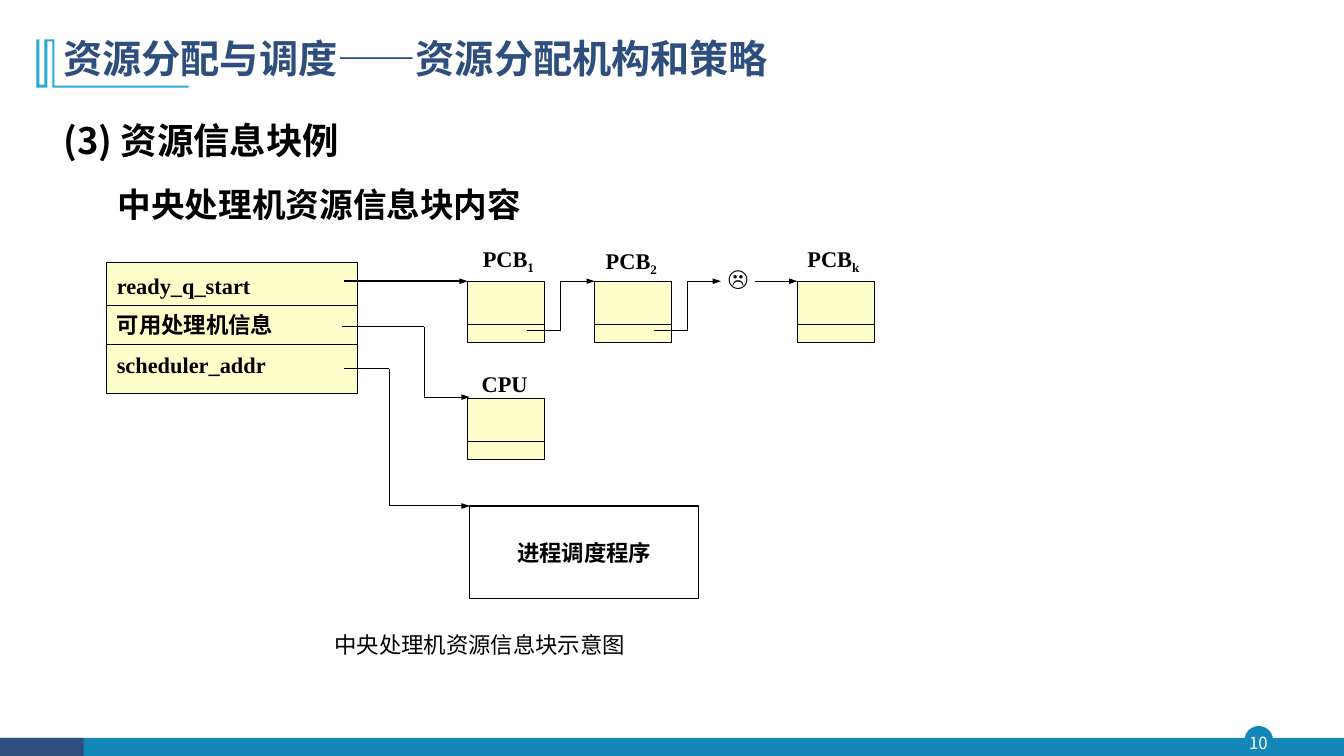
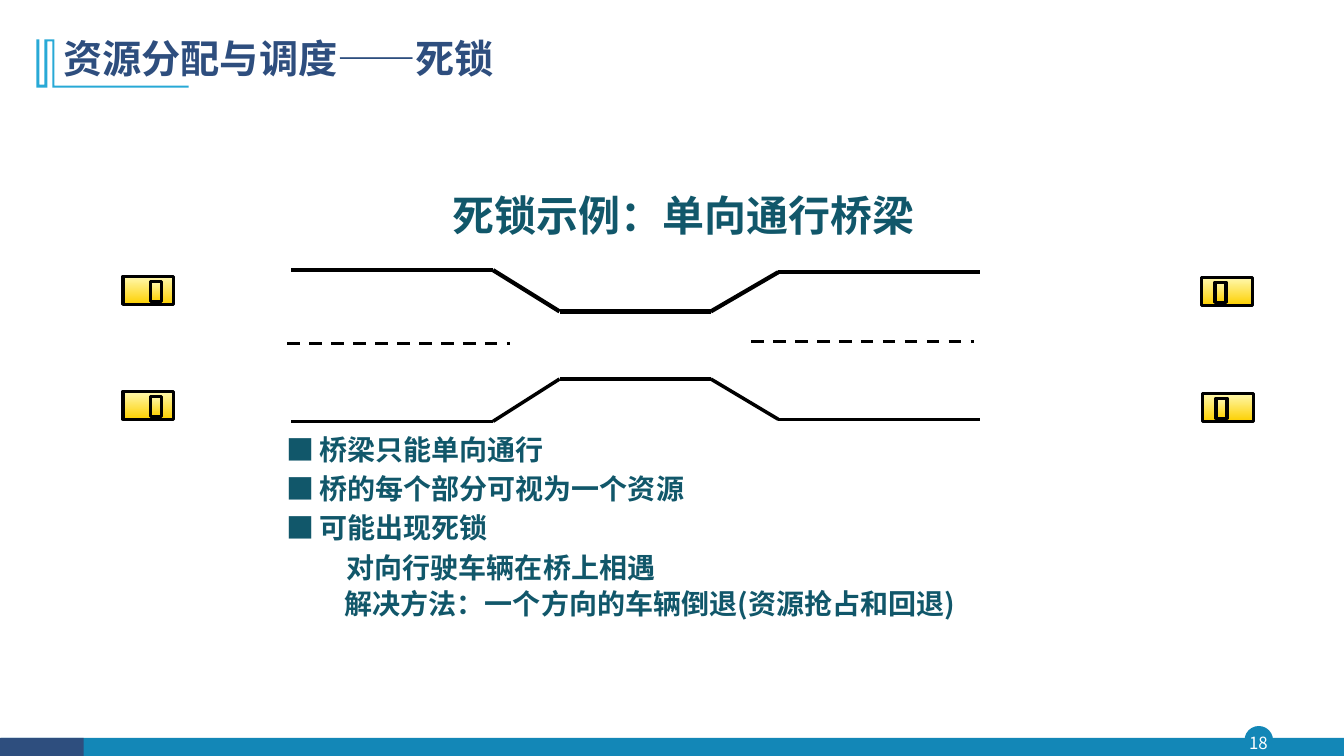
from dataclasses import dataclass
from itertools import pairwise

from pptx import Presentation
from pptx.dml.color import RGBColor as Color
from pptx.enum.dml import MSO_LINE_DASH_STYLE as Dash
from pptx.enum.shapes import MSO_CONNECTOR as Connector, MSO_SHAPE as Shape
from pptx.enum.text import MSO_ANCHOR as Anchor, PP_ALIGN as Align
from pptx.oxml.ns import qn
from pptx.oxml.xmlchemy import OxmlElement as new_element
from pptx.util import Inches, Pt


@dataclass(frozen=True)
class Theme:
    navy: str = "2E4E7E"
    blue: str = "1387B7"
    cyan: str = "28A9D6"
    teal: str = "11576A"
    black: str = "000000"
    white: str = "FFFFFF"
    cream: str = "FFFFCC"
    car_top: str = "FFF9B1"
    car_bottom: str = "FDD000"
    sans: str = "Noto Sans CJK SC"
    bullet_font: str = "Noto Sans CJK JP"
    serif: str = "Times New Roman"
    title: int = 28
    example: int = 30
    heading: int = 26
    subheading: int = 24
    body: int = 20
    label: int = 16
    number: int = 12


THEME = Theme()


# Text
def style_para(para, size, color=THEME.black, font=THEME.sans, bold=True,
               align=Align.LEFT, spacing=1.0, before=0):
    para.alignment = align
    para.line_spacing = spacing
    para.space_before = Pt(before)
    para.font.size = Pt(size)
    para.font.bold = bold
    para.font.name = font
    para.font.color.rgb = Color.from_string(color)
    # Chinese text always takes a sans face
    for latin in para._p.iter(qn("a:latin")):
        east_asian = new_element("a:ea")
        east_asian.set("typeface", THEME.sans if font == THEME.serif else font)
        latin.addnext(east_asian)


def add_text(page, at, text, size, **style):
    box = page.shapes.add_textbox(*map(Inches, at))
    frame = box.text_frame
    frame.word_wrap = True
    para = frame.paragraphs[0]
    para.add_run().text = text
    style_para(para, size, **style)
    return frame


# Shapes and lines
def paint(shape, fill=None, line=None, width=0.75):
    shape.shadow.inherit = False
    if fill:
        shape.fill.solid()
        shape.fill.fore_color.rgb = Color.from_string(fill)
    else:
        shape.fill.background()
    if line:
        shape.line.color.rgb = Color.from_string(line)
        shape.line.width = Pt(width)
    else:
        shape.line.fill.background()


def add_box(page, at, fill=None, line=None, width=0.75, kind=Shape.RECTANGLE):
    box = page.shapes.add_shape(kind, *map(Inches, at))
    paint(box, fill, line, width)
    return box


def add_line(page, start, end, width=0.75, arrow=False, dash=None):
    line = page.shapes.add_connector(
        Connector.STRAIGHT, *map(Inches, (*start, *end)))
    line.line.color.rgb = Color.from_string(THEME.black)
    line.line.width = Pt(width)
    if dash:
        line.line.dash_style = dash
    if arrow:
        head = new_element("a:tailEnd")
        head.set("type", "triangle")
        head.set("w", "sm")
        line.line._get_or_add_ln().append(head)
    line._element.spPr.append(new_element("a:effectLst"))


def add_route(page, points, width=0.75, arrow=False):
    legs = list(pairwise(points))
    for index, (start, end) in enumerate(legs, 1):
        add_line(page, start, end, width, arrow and index == len(legs))


# Frame shared by all slides
def add_page(deck, title, number):
    page = deck.slides.add_slide(deck.slide_layouts[6])
    add_box(page, (12.35, 7.21, 0.27, 0.27), THEME.blue, THEME.blue, 1,
            Shape.OVAL)
    add_box(page, (0.01, 7.32, 13.32, 0.19), THEME.blue)
    add_box(page, (0, 7.32, 0.83, 0.19), THEME.navy)
    frame = add_text(page, (12.32, 7.21, 0.32, 0.31), str(number),
                     THEME.number, color=THEME.white, bold=False,
                     align=Align.CENTER)
    frame.vertical_anchor = Anchor.MIDDLE
    frame.margin_left = frame.margin_right = 0
    frame.margin_top = frame.margin_bottom = 0

    # Title ornament, in hundredths of an inch
    outline = [(54, 85), (187, 85), (187, 87), (52, 87), (52, 41), (47, 41),
               (47, 87), (36, 87), (36, 39), (39, 39), (39, 84), (44, 84),
               (44, 39)]
    builder = page.shapes.build_freeform(54, 39, scale=Inches(0.01))
    builder.add_line_segments(outline, close=True)
    paint(builder.convert_to_shape(), THEME.cyan)

    add_text(page, (0.53, 0.34, 10.49, 0.56), title, THEME.title,
             color=THEME.navy, spacing=0.9)
    return page


# Parts of the resource block diagram
def add_control_block(page, left, top, label, label_at, subscript=None):
    width, height, divider = 0.76, 0.61, top + 0.43
    add_box(page, (left, top, width, height), THEME.cream, THEME.black)
    add_line(page, (left, divider), (left + width, divider))
    frame = add_text(page, (*label_at, 0.8, 0.37), label, THEME.label,
                     font=THEME.serif)
    if subscript:
        run = frame.paragraphs[0].add_run()
        run.text = subscript
        run._r.get_or_add_rPr().set("baseline", "-25000")


def add_info_block(page, rows):
    left, top, width = 1.06, 2.6, 2.49
    box = add_box(page, (left, top, width, 1.3), THEME.cream, THEME.black)
    frame = box.text_frame
    frame.vertical_anchor = Anchor.TOP
    for index, row in enumerate(rows):
        para = frame.add_paragraph() if index else frame.paragraphs[0]
        para.add_run().text = row
        style_para(para, THEME.label, font=THEME.serif, align=Align.JUSTIFY,
                   spacing=1.2, before=5)
    for y in (3.03, 3.42):
        add_line(page, (left, y), (left + width, y))


def build_resource_slide(deck):
    page = add_page(deck, "资源分配与调度——资源分配机构和策略", 10)
    frame = add_text(page, (0.53, 0.91, 9.07, 1.4), "(3) 资源信息块例",
                     THEME.heading, align=Align.JUSTIFY, spacing=1.5,
                     before=10)
    para = frame.add_paragraph()
    para.add_run().text = "中央处理机资源信息块内容"
    style_para(para, THEME.subheading, font=THEME.serif, spacing=1.3, before=7)
    para._p.get_or_add_pPr().set("marL", str(Inches(0.54)))

    # Blocks
    add_info_block(page, ["ready_q_start", "可用处理机信息", "scheduler_addr"])
    queue_top = 2.79
    for left, label_at, subscript in [(4.64, (4.69, 2.38), "1"),
                                      (5.9, (5.91, 2.4), "2"),
                                      (7.91, (7.91, 2.38), "k")]:
        add_control_block(page, left, queue_top, "PCB", label_at, subscript)
    add_control_block(page, 4.64, 3.95, "CPU", (4.68, 3.62))
    add_text(page, (7.12, 2.57, 0.53, 0.24), "☹", THEME.label)

    scheduler = add_box(page, (4.66, 5.02, 2.27, 0.92), None, THEME.black, 1)
    para = scheduler.text_frame.paragraphs[0]
    para.add_run().text = "进程调度程序"
    style_para(para, THEME.label, font=THEME.serif, align=Align.CENTER)

    # Links along the queue
    add_line(page, (3.41, queue_top), (4.64, queue_top), 1.5, arrow=True)
    for start, bend, end in [(5.23, 5.56, 5.9), (6.49, 6.82, 7.15)]:
        add_route(page, [(start, 3.28), (bend, 3.28), (bend, queue_top),
                         (end, queue_top)], arrow=True)
    add_line(page, (7.49, queue_top), (7.91, queue_top), 1, arrow=True)

    # Links to the processor and the scheduler
    add_route(page, [(3.39, 3.24), (4.21, 3.24), (4.21, 3.94), (4.66, 3.94)],
              arrow=True)
    add_route(page, [(3.41, 3.66), (3.86, 3.66), (3.86, 5.02), (4.66, 5.02)],
              arrow=True)

    add_text(page, (3.22, 6.16, 3.31, 0.42), "中央处理机资源信息块示意图",
             THEME.label, font=THEME.serif, bold=False, align=Align.JUSTIFY,
             spacing=1.2)


# Parts of the bridge example
def add_car(page, left, top, window_offset):
    for at in [(left, top, 0.5, 0.28),
               (left + window_offset, top + 0.05, 0.11, 0.2)]:
        panel = add_box(page, at, THEME.car_top, THEME.black, 2.25)
        panel.fill.gradient()
        panel.fill.gradient_angle = 270
        for stop, color in zip(panel.fill.gradient_stops,
                               (THEME.car_top, THEME.car_bottom)):
            stop.color.rgb = Color.from_string(color)


def build_deadlock_slide(deck):
    page = add_page(deck, "资源分配与调度——死锁", 18)
    add_text(page, (2.28, 1.83, 9, 0.56), "死锁示例：单向通行桥梁",
             THEME.example, color=THEME.teal, align=Align.CENTER)

    # Road edges, narrowing to the bridge
    bends = (2.89, 4.89, 5.55, 7.05, 7.72, 9.72)
    for heights, width in [((2.68, 2.68, 3.09, 3.09, 2.7, 2.7), 3),
                           ((4.18, 4.18, 3.76, 3.76, 4.16, 4.16), 2.5)]:
        add_route(page, list(zip(bends, heights)), width)
    for left, y in [(2.85, 3.41), (7.45, 3.39)]:
        add_line(page, (left, y), (left + 2.21, y), 2.25, dash=Dash.DASH)

    # Cars waiting at both ends
    for left, top, window_offset in [(1.22, 2.74, 0.27), (1.22, 3.88, 0.27),
                                     (11.92, 2.75, 0.13), (11.93, 3.9, 0.13)]:
        add_car(page, left, top, window_offset)

    # Remarks
    remarks = ["桥梁只能单向通行", "桥的每个部分可视为一个资源", "可能出现死锁"]
    for index, remark in enumerate(remarks):
        top = 4.24 + 0.39 * index
        add_text(page, (2.74, top, 0.47, 0.44), "■", THEME.body,
                 color=THEME.teal, font=THEME.bullet_font)
        add_text(page, (3.07, top, 6.66, 0.47), remark, THEME.body,
                 color=THEME.teal)
    for left, top, detail in [
            (3.34, 5.45, "对向行驶车辆在桥上相遇"),
            (3.32, 5.81, "解决方法：一个方向的车辆倒退(资源抢占和回退)")]:
        add_text(page, (left, top, 6.78, 0.39), detail, THEME.body,
                 color=THEME.teal, spacing=0.9)


def main():
    deck = Presentation()
    deck.slide_width, deck.slide_height = Inches(13.33), Inches(7.5)
    build_resource_slide(deck)
    build_deadlock_slide(deck)
    deck.save("out.pptx")


if __name__ == "__main__":
    main()
